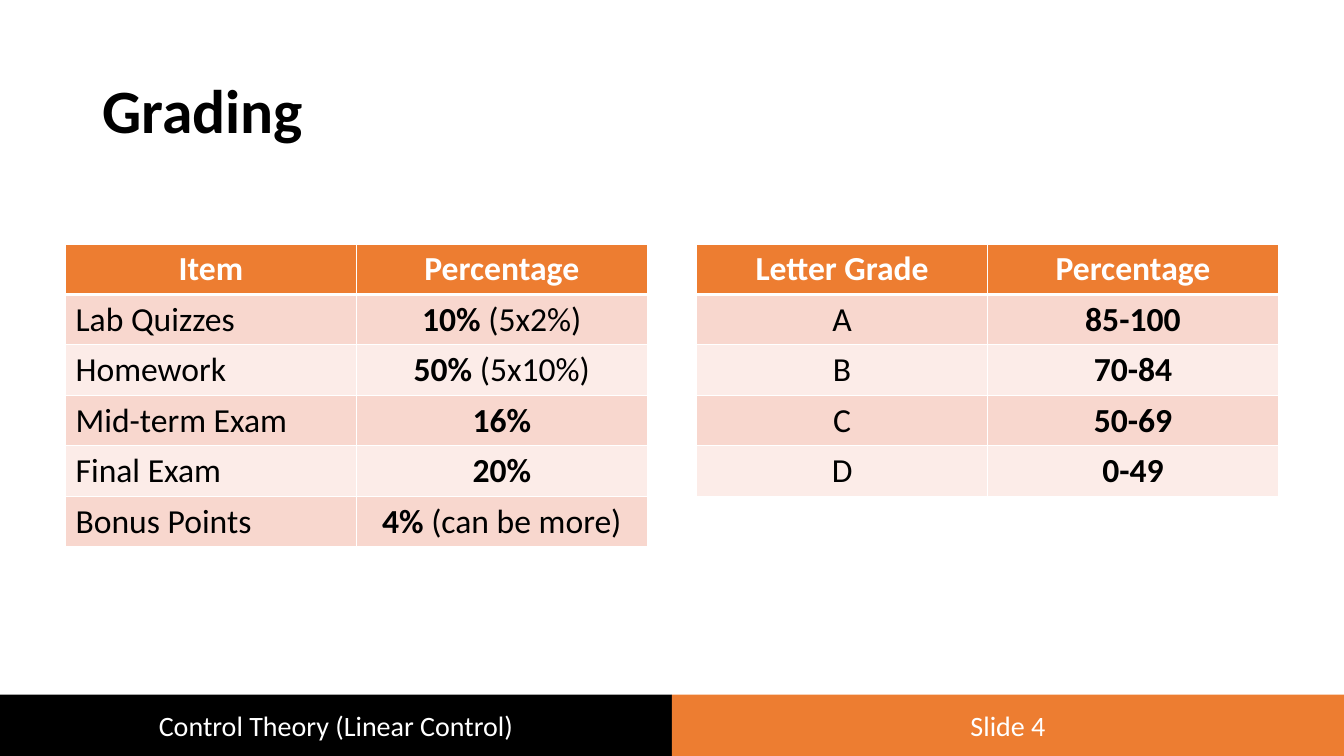
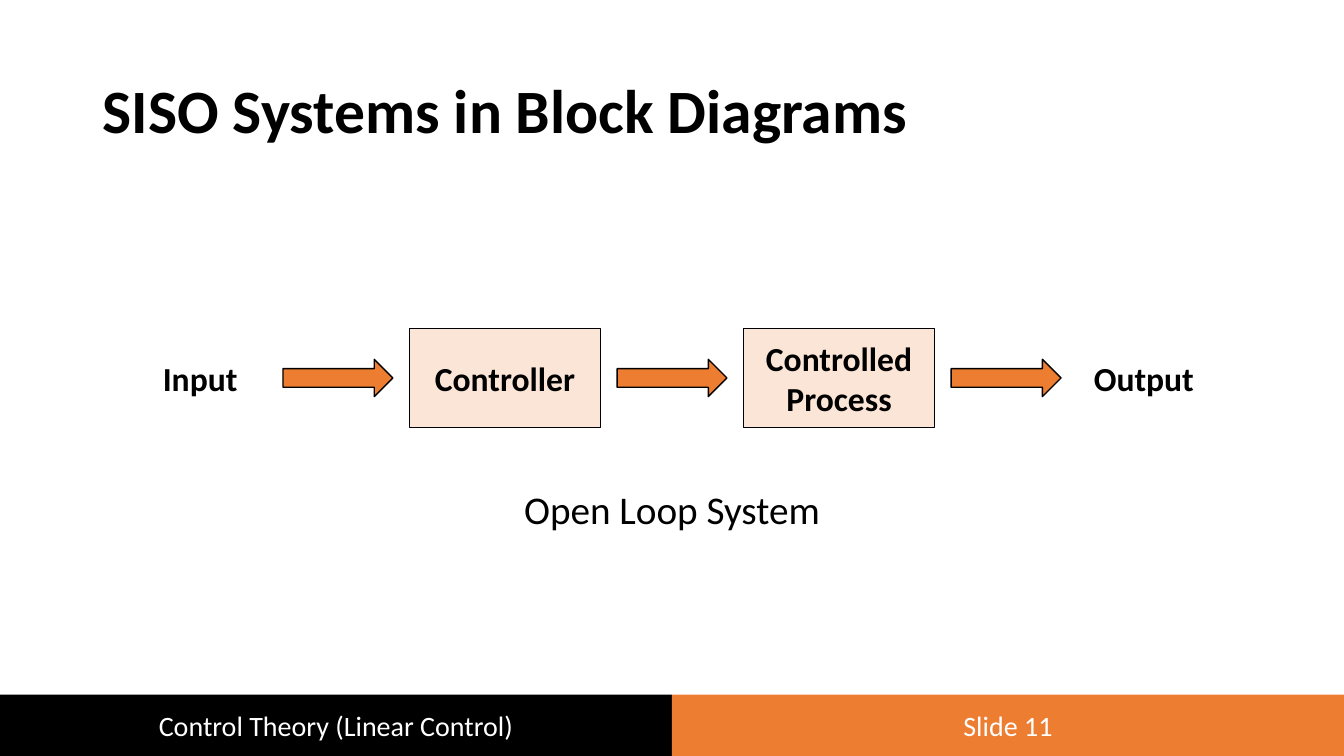
import pptx
import pptx.util
import pptx.dml.color
import pptx.enum.shapes
import pptx.enum.text
import pptx.oxml
import pptx.oxml.ns

Inches = pptx.util.Inches
Pt = pptx.util.Pt
SHAPE = pptx.enum.shapes.MSO_SHAPE
ALIGN = pptx.enum.text.PP_ALIGN
ANCHOR = pptx.enum.text.MSO_ANCHOR

COLOURS = {
    "black": "000000",
    "white": "FFFFFF",
    "accent": "ED7D31",
    "block": "FBE5D6",
    "band_dark": "F8D7CE",
    "band_light": "FCECE8",
}
FONT = "Calibri"
SLIDE_WIDTH, SLIDE_HEIGHT = 13.33, 7.5
FOOTER_HEIGHT = 0.61
COURSE = "Control Theory (Linear Control)"
ROW_HEIGHT = 0.5

GRADE_ITEMS = [
    ("Item", ["Percentage"]),
    ("Lab Quizzes", ["10% ", "(5x2%)"]),
    ("Homework", ["50% ", "(5x10%)"]),
    ("Mid-term Exam", ["16%"]),
    ("Final Exam", ["20%"]),
    ("Bonus Points", ["4% ", "(can be more)"]),
]
LETTER_GRADES = [
    ("Letter Grade", ["Percentage"]),
    ("A", ["85-100"]),
    ("B", ["70-84"]),
    ("C", ["50-69"]),
    ("D", ["0-49"]),
]


def rgb(name):
    return pptx.dml.color.RGBColor.from_string(COLOURS[name])


def style_paragraph(para, size, colour="black", bold=False, align=ALIGN.CENTER):
    para.alignment = align
    para.font.name = FONT
    para.font.size = Pt(size)
    para.font.bold = bold
    para.font.color.rgb = rgb(colour)


def write_lines(frame, lines, size, **style):
    """Fill a text frame with one paragraph for each line."""
    frame.word_wrap = True
    for index, line in enumerate(lines):
        para = frame.paragraphs[0] if index == 0 else frame.add_paragraph()
        para.text = line
        style_paragraph(para, size, **style)


def add_text(page, box, text, size, anchor=ANCHOR.TOP, **style):
    frame = page.shapes.add_textbox(*map(Inches, box)).text_frame
    frame.vertical_anchor = anchor
    write_lines(frame, [text], size, **style)
    return frame


def add_block(page, box, fill, kind=SHAPE.RECTANGLE, outlined=False):
    block = page.shapes.add_shape(kind, *map(Inches, box))
    block.shadow.inherit = False
    block.fill.solid()
    block.fill.fore_color.rgb = rgb(fill)
    if outlined:
        block.line.color.rgb = rgb("black")
        block.line.width = Pt(1)
    else:
        block.line.fill.background()
    return block


def add_footer(page, box, number):
    left, top, width, height = box
    half = width / 2
    labels = [(COURSE, "black"), (f"Slide {number}", "accent")]
    for index, (label, fill) in enumerate(labels):
        band = add_block(page, (left + index * half, top, half, height), fill)
        write_lines(band.text_frame, [label], 20, colour="white")


def add_page(deck, title, number):
    """Add a slide with the shared title and footer."""
    page = deck.slides.add_slide(deck.slide_layouts[6])
    frame = add_text(page, (0.92, 0.4, 11.5, 1.45), title, 44,
                     anchor=ANCHOR.MIDDLE, bold=True, align=ALIGN.LEFT)
    frame.paragraphs[0].line_spacing = 0.9
    footer_top = SLIDE_HEIGHT - FOOTER_HEIGHT
    add_footer(page, (0, footer_top, SLIDE_WIDTH, FOOTER_HEIGHT), number)
    return page


def set_borders(cell, row):
    """Draw white cell edges, with a thick rule below the header row."""
    widths = {"L": 1, "R": 1, "T": 3 if row == 1 else 1, "B": 3 if row == 0 else 1}
    properties = cell._tc.get_or_add_tcPr()
    for side, width in widths.items():
        properties.append(pptx.oxml.parse_xml(
            f'<a:ln{side} {pptx.oxml.ns.nsdecls("a")} w="{Pt(width)}"><a:solidFill>'
            f'<a:srgbClr val="{COLOURS["white"]}"/></a:solidFill></a:ln{side}>'))


def fill_cell(cell, row, parts, bold, align):
    """Write the parts as runs; any part after the first is not bold."""
    set_borders(cell, row)
    fill = "accent" if row == 0 else ("band_light", "band_dark")[row % 2]
    cell.fill.solid()
    cell.fill.fore_color.rgb = rgb(fill)
    para = cell.text_frame.paragraphs[0]
    style_paragraph(para, 24, "white" if row == 0 else "black", bold, align)
    for index, part in enumerate(parts):
        span = para.add_run()
        span.text = part
        if index > 0:
            span.font.bold = False


def add_grade_table(page, box, rows, label_align):
    left, top, width = box
    grid = page.shapes.add_table(
        len(rows), 2, Inches(left), Inches(top), Inches(width),
        Inches(ROW_HEIGHT * len(rows))).table
    grid.first_row = False
    grid.horz_banding = False
    for row, (label, value) in enumerate(rows):
        header = row == 0
        align = ALIGN.CENTER if header else label_align
        fill_cell(grid.cell(row, 0), row, [label], header, align)
        fill_cell(grid.cell(row, 1), row, value, True, ALIGN.CENTER)


def add_flow(page, box):
    """Spread labels, arrows and blocks over the box with equal gaps."""
    left, top, width, height = box
    label_width, block_width, arrow_width, arrow_height = 1.31, 1.89, 1.09, 0.37
    stages = [
        (["Input"], label_width, "white", False),
        (["Controller"], block_width, "block", True),
        (["Controlled", "Process"], block_width, "block", True),
        (["Output"], label_width, "white", False),
    ]
    arrows = len(stages) - 1
    used = sum(stage[1] for stage in stages) + arrows * arrow_width
    gap = (width - used) / (2 * arrows)
    arrow_top = top + (height - arrow_height) / 2
    for index, (lines, stage_width, fill, outlined) in enumerate(stages):
        if index > 0:
            add_block(page, (left, arrow_top, arrow_width, arrow_height),
                      "accent", SHAPE.RIGHT_ARROW, outlined=True)
            left += arrow_width + gap
        stage = add_block(page, (left, top, stage_width, height), fill,
                          outlined=outlined)
        write_lines(stage.text_frame, lines, 24, bold=True)
        left += stage_width + gap


def build_grading(deck):
    page = add_page(deck, "Grading", 4)
    add_grade_table(page, (0.65, 2.42, 5.77), GRADE_ITEMS, ALIGN.LEFT)
    add_grade_table(page, (6.91, 2.42, 5.77), LETTER_GRADES, ALIGN.CENTER)


def build_block_diagram(deck):
    page = add_page(deck, "SISO Systems in Block Diagrams", 11)
    add_flow(page, (1.33, 3.26, 10.67, 0.98))
    add_text(page, (0, 4.77, SLIDE_WIDTH, 0.57), "Open Loop System", 28)


def main():
    deck = pptx.Presentation()
    deck.slide_width = Inches(SLIDE_WIDTH)
    deck.slide_height = Inches(SLIDE_HEIGHT)
    build_grading(deck)
    build_block_diagram(deck)
    deck.save("out.pptx")


if __name__ == "__main__":
    main()
